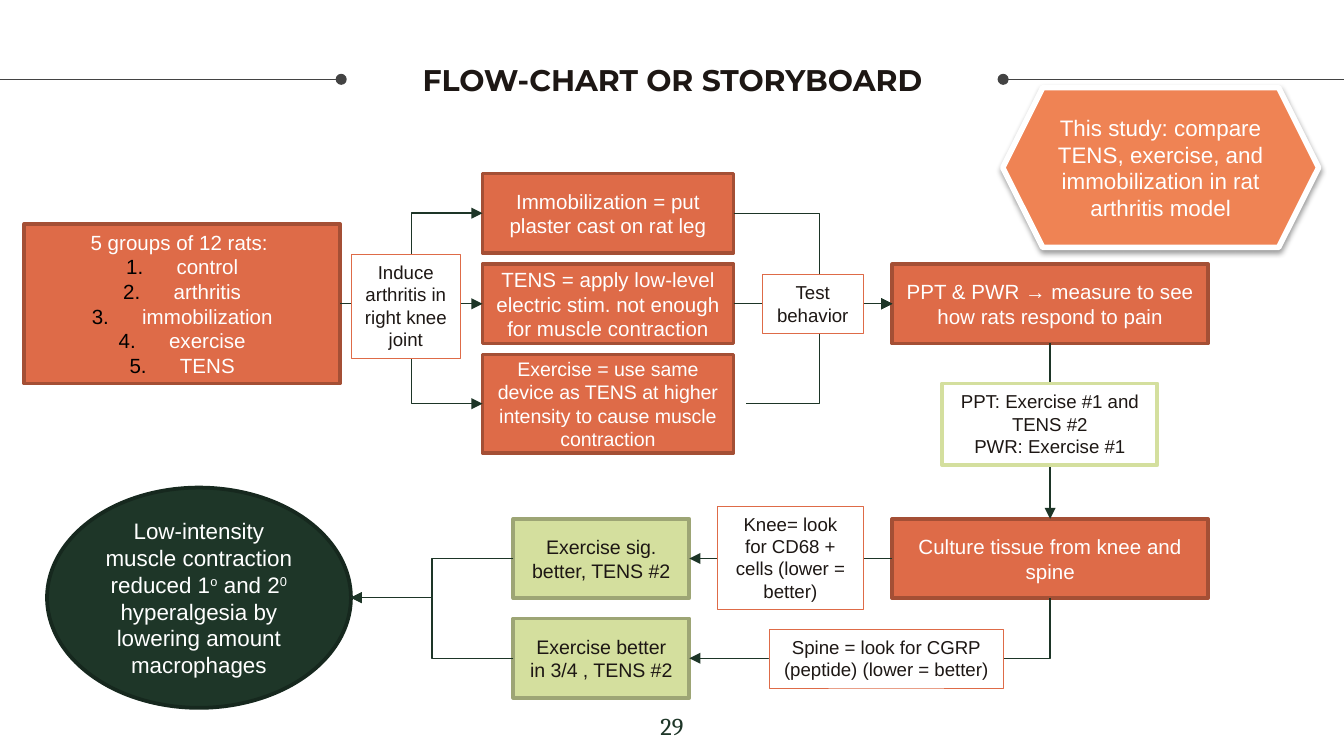
from dataclasses import dataclass
from typing import NamedTuple, Optional

from lxml import etree
from pptx import Presentation
from pptx.dml.color import RGBColor
from pptx.enum.shapes import MSO_CONNECTOR, MSO_SHAPE
from pptx.enum.text import MSO_ANCHOR, MSO_AUTO_SIZE, PP_ALIGN
from pptx.oxml.ns import qn
from pptx.util import Pt

RECT, OVAL, HEXAGON = MSO_SHAPE.RECTANGLE, MSO_SHAPE.OVAL, MSO_SHAPE.HEXAGON
STRAIGHT, ELBOW = MSO_CONNECTOR.STRAIGHT, MSO_CONNECTOR.ELBOW
TOP, MIDDLE, CENTER = MSO_ANCHOR.TOP, MSO_ANCHOR.MIDDLE, PP_ALIGN.CENTER
GROW = MSO_AUTO_SIZE.SHAPE_TO_FIT_TEXT
SITE_TOP, SITE_LEFT, SITE_BOTTOM, SITE_RIGHT = range(4)


@dataclass(frozen=True)
class Theme:
    ink: str = "1D1714"
    white: str = "FFFFFF"
    black: str = "000000"
    rule: str = "434343"
    arrow: str = "1D3527"
    page: str = "1E3628"
    body: str = "Arial"
    heading: str = "Montserrat"
    number: str = "Cambria"
    title_size: float = 16
    page_size: float = 13
    large: float = 12
    normal: float = 11
    compact: float = 10.5
    small: float = 10


THEME = Theme()


class Style(NamedTuple):
    fill: str
    line: str
    weight: float
    color: str
    anchor: MSO_ANCHOR = MIDDLE


STEP = Style("DE6B48", "A44F35", 2, THEME.white)
RESULT = Style("D4DF9E", "9DA575", 2, THEME.ink)
LABEL = Style("FFFFFF", "DE6B48", 0.25, THEME.ink, TOP)
FINDING = Style("FFFFFF", "D4DF9E", 2, THEME.ink, TOP)
AIM = Style("EF8354", "FFFFFF", 3, THEME.white)
CONCLUSION = Style("1E3628", "16281E", 2, THEME.white)


class Box(NamedTuple):
    name: str
    left: float
    top: float
    width: float
    height: float
    text: str
    size: float
    style: Style
    kind: MSO_SHAPE = RECT


class Link(NamedTuple):
    begin: tuple
    end: tuple
    kind: MSO_CONNECTOR = STRAIGHT
    bend: Optional[float] = None


STEP_H, WIDE, MID_W, RESULT_W = 42.5, 169.2, 134.5, 94.3
MID_X, RIGHT_X, RESULT_X = 258.5, 478, 275
ROW_1, ROW_2 = 141.5, 278

BOXES = [
    Box("aim", 537.2, 47, WIDE, 85.6, "This study: compare TENS, exercise, and immobilization in rat arthritis model",
        THEME.large, AIM, HEXAGON),
    Box("groups", 13, 120, WIDE, 85.5, "5 groups of 12 rats: \n#control\n#arthritis\n#immobilization\n#exercise\n#TENS",
        THEME.normal, STEP),
    Box("pain", RIGHT_X, ROW_1, WIDE, STEP_H, "PPT & PWR → measure to see how rats respond to pain", THEME.normal, STEP),
    Box("cast", MID_X, 93, MID_W, STEP_H, "Immobilization = put plaster cast on rat leg", THEME.normal, STEP),
    Box("exercise", MID_X, 190, MID_W, 52.6,
        "Exercise = use same device as TENS at higher intensity to cause muscle contraction", THEME.compact, STEP),
    Box("tens", MID_X, ROW_1, MID_W, STEP_H, "TENS = apply low-level electric stim. not enough for muscle contraction",
        THEME.normal, STEP),
    Box("culture", RIGHT_X, ROW_2, WIDE, STEP_H, "Culture tissue from knee and spine", THEME.normal, STEP),
    Box("knee", RESULT_X, ROW_2, RESULT_W, STEP_H, "Exercise sig. better, TENS #2", THEME.compact, RESULT),
    Box("spine", RESULT_X, 331.4, RESULT_W, STEP_H, "Exercise better in 3/4 , TENS #2", THEME.compact, RESULT),
    Box("conclusion", 25.2, 261.2, 162.8, 118,
        "Low-intensity muscle contraction reduced 1^o^ and 2^0^ hyperalgesia by lowering amount macrophages",
        THEME.large, CONCLUSION, OVAL),
]

LABELS = [
    Box("induce", 188.2, 136.2, 58.4, 55.6, "Induce arthritis in right knee joint", THEME.small, LABEL),
    Box("test", 408.4, 147, 54, 31.6, "Test behavior", THEME.small, LABEL),
    Box("pain result", 504.8, 205.4, 115.2, 43.8, "PPT: Exercise #1 and TENS #2\nPWR: Exercise #1", THEME.small, FINDING),
    Box("knee test", 384.4, 271, 78, 55.6, "Knee= look for CD68 + cells (lower = better)", THEME.small, LABEL),
    Box("spine test", 412, 337, 125.4, 31.6, "Spine = look for CGRP (peptide) (lower = better)", THEME.small, LABEL),
]

LINKS = [
    Link(("groups", SITE_RIGHT), ("tens", SITE_LEFT)),
    Link(("groups", SITE_RIGHT), ("cast", SITE_LEFT), ELBOW),
    Link(("groups", SITE_RIGHT), ("exercise", SITE_LEFT), ELBOW),
    Link(("cast", SITE_RIGHT), ("pain", SITE_LEFT), ELBOW, 0.54),
    Link((399.8, 216.3), ("pain", SITE_LEFT), ELBOW),
    Link(("tens", SITE_RIGHT), ("pain", SITE_LEFT)),
    Link(("pain", SITE_BOTTOM), ("culture", SITE_TOP)),
    Link(("culture", SITE_LEFT), ("knee", SITE_RIGHT)),
    Link(("knee", SITE_LEFT), (188, 320.2), ELBOW),
    Link(("spine", SITE_LEFT), (188, 320.2), ELBOW),
]


def format_run(r, text: str, **values) -> None:
    r.text = text
    color = values.pop("color")
    for key, value in values.items():
        setattr(r.font, key, value)
    r.font.color.rgb = RGBColor.from_string(color)


def number_paragraph(p) -> None:
    props = p._p.get_or_add_pPr()
    indent = Pt(27)
    props.set("marL", str(indent))
    props.set("indent", str(-indent))
    color = etree.SubElement(props, qn("a:buClr"))
    etree.SubElement(color, qn("a:srgbClr"), val=THEME.black)
    etree.SubElement(props, qn("a:buFont"), typeface="+mj-lt")
    etree.SubElement(props, qn("a:buAutoNum"), type="arabicPeriod")


def write_text(tf, text: str, anchor: MSO_ANCHOR, **values) -> None:
    tf.word_wrap = True
    tf.vertical_anchor = anchor
    for i, line in enumerate(text.split("\n")):
        p = tf.add_paragraph() if i else tf.paragraphs[0]
        p.alignment = CENTER
        if line.startswith("#"):
            number_paragraph(p)
        for j, part in enumerate(line.removeprefix("#").split("^")):
            r = p.add_run()
            format_run(r, part, **values)
            if j % 2:
                r._r.get_or_add_rPr().set("baseline", "30000")


def add_box(s, box: Box):
    style = box.style
    sp = s.shapes.add_shape(box.kind, Pt(box.left), Pt(box.top), Pt(box.width), Pt(box.height))
    sp.shadow.inherit = False
    sp.fill.solid()
    sp.fill.fore_color.rgb = RGBColor.from_string(style.fill)
    sp.line.color.rgb = RGBColor.from_string(style.line)
    sp.line.width = Pt(style.weight)
    write_text(sp.text_frame, box.text, style.anchor, size=Pt(box.size), name=THEME.body, color=style.color)
    if style.anchor == TOP:
        sp.text_frame.auto_size = GROW
    return sp


def add_soft_shadow(sp) -> None:
    effects = sp._element.spPr.find(qn("a:effectLst"))
    shadow = etree.SubElement(effects, qn("a:outerShdw"), blurRad=str(Pt(3.1)), dist=str(Pt(1.6)),
                              dir="5400000", rotWithShape="0")
    color = etree.SubElement(shadow, qn("a:srgbClr"), val=THEME.black)
    etree.SubElement(color, qn("a:alpha"), val="38000")


def add_line(s, kind: MSO_CONNECTOR, begin: tuple, end: tuple, color: str, cap: str, cap_type: str):
    line = s.shapes.add_connector(kind, *(Pt(v) for v in (*begin, *end)))
    line.line.color.rgb = RGBColor.from_string(color)
    line.line.width = Pt(0.75)
    etree.SubElement(line.line._get_or_add_ln(), qn(cap), type=cap_type)
    etree.SubElement(line._element.spPr, qn("a:effectLst"))
    return line


def add_link(s, link: Link, shapes: dict) -> None:
    ends = (link.begin, link.end)
    points = [(0, 0) if e[0] in shapes else e for e in ends]
    line = add_line(s, link.kind, *points, THEME.arrow, "a:tailEnd", "triangle")
    for (target, site), connect in zip(ends, (line.begin_connect, line.end_connect)):
        if target in shapes:
            connect(shapes[target], site)
    if link.bend is not None:
        guides = line._element.spPr.find(qn("a:prstGeom")).get_or_add_avLst()
        etree.SubElement(guides, qn("a:gd"), name="adj1", fmla=f"val {round(link.bend * 100000)}")


def add_corner_link(s, start, finish) -> None:
    line = add_line(s, ELBOW, (0, 0), (1, 1), THEME.arrow, "a:tailEnd", "triangle")
    line.begin_connect(start, SITE_BOTTOM)
    line.end_connect(finish, SITE_RIGHT)
    across, down = line.width, line.height
    line.left, line.top = line.left + (across - down) // 2, line.top + (down - across) // 2
    line.width, line.height = down, across
    props = line._element.spPr
    props.find(qn("a:prstGeom")).set("prst", "bentConnector2")
    xfrm = props.find(qn("a:xfrm"))
    xfrm.attrib.clear()
    xfrm.set("rot", "5400000")


def place_text(sp, left: float, top: float, width: float, height: float) -> None:
    frame = dict(left=left, top=top, width=width, height=height)
    for key, value in frame.items():
        setattr(sp, key, Pt(value))
    for side in ("left", "top", "right", "bottom"):
        setattr(sp.text_frame, f"margin_{side}", Pt(7.2))


def main() -> None:
    prs = Presentation()
    prs.slide_width, prs.slide_height = Pt(720), Pt(405)
    s = prs.slides.add_slide(prs.slide_layouts[5])
    title = s.shapes.title
    place_text(title, 182.8, 8.6, 355, 67.6)
    write_text(title.text_frame, "FLOW-CHART OR STORYBOARD", MIDDLE, size=Pt(THEME.title_size),
               name=THEME.heading, bold=True, color=THEME.ink)
    for inner, outer in ((182.8, -2), (537.4, 721)):
        add_line(s, STRAIGHT, (inner, 42.5), (outer, 42.5), THEME.rule, "a:headEnd", "oval")
    page = s.shapes.add_textbox(0, 0, 0, 0)
    place_text(page, 338.4, 373.8, 43.2, 31)
    write_text(page.text_frame, "29", TOP, size=Pt(THEME.page_size), name=THEME.number, color=THEME.page)

    shapes = {box.name: add_box(s, box) for box in BOXES}
    add_soft_shadow(shapes["aim"])
    for link in LINKS:
        add_link(s, link, shapes)
    add_corner_link(s, shapes["culture"], shapes["spine"])
    for label in LABELS:
        add_box(s, label)
    prs.save("out.pptx")


if __name__ == "__main__":
    main()
